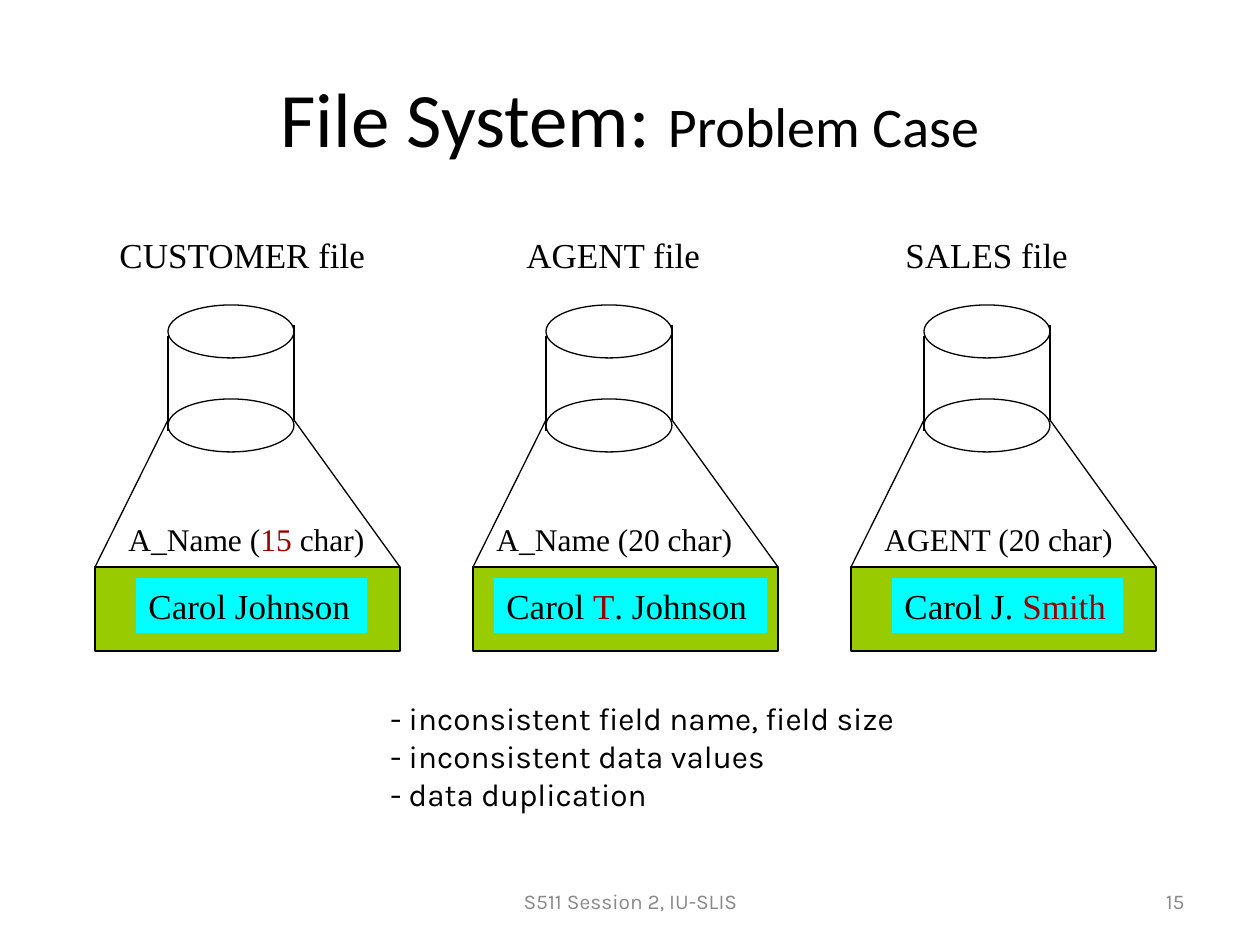
from pptx import Presentation
from pptx.dml.color import RGBColor
from pptx.enum.shapes import MSO_CONNECTOR, MSO_SHAPE
from pptx.enum.text import MSO_ANCHOR, PP_ALIGN
from pptx.oxml.ns import qn
from pptx.util import Pt
from lxml import etree

SCALE = 914400 / 126
BLACK, RED, GRAY = "000000", "990000", "898989"
GREEN, CYAN = "99CC00", "00FFFF"
SERIF, SANS, HEAD = "Times New Roman", "Karla", "Calibri"


def emu(px):
    return round(px * SCALE)


def color(code):
    return RGBColor.from_string(code)


def write(frame, text, font=SERIF, size=20, ink=BLACK, align=PP_ALIGN.LEFT,
          anchor=MSO_ANCHOR.TOP, wrap=True):
    """Text is a string or a list of (text, changes) runs; newlines break lines."""
    frame.word_wrap = wrap
    frame.vertical_anchor = anchor
    para = frame.paragraphs[0]
    para.alignment = align
    for part, change in [(text, {})] if isinstance(text, str) else text:
        for i, line in enumerate(part.split("\n")):
            if i:
                para.add_line_break()
            run = para.add_run()
            run.text = line
            run.font.name = font
            run.font.size = Pt(change.get("size", size))
            run.font.color.rgb = color(change.get("ink", ink))


class Deck:
    line_width = Pt(0.75)

    def __init__(self, width, height):
        self.prs = Presentation()
        self.prs.slide_width, self.prs.slide_height = emu(width), emu(height)
        self.slide = self.prs.slides.add_slide(self.prs.slide_layouts[6])
        self.shapes = self.slide.shapes

    def text(self, x, y, w, h, text, **style):
        box = self.shapes.add_textbox(*map(emu, (x, y, w, h)))
        write(box.text_frame, text, **style)

    def shape(self, kind, x, y, w, h, fill=None, line=BLACK, host=None):
        item = (host or self.shapes).add_shape(kind, *map(emu, (x, y, w, h)))
        item.shadow.inherit = False
        if fill:
            item.fill.solid()
            item.fill.fore_color.rgb = color(fill)
        else:
            item.fill.background()
        if line:
            item.line.color.rgb = color(line)
            item.line.width = self.line_width
        else:
            item.line.fill.background()
        return item

    def line(self, x1, y1, x2, y2, host=None):
        item = (host or self.shapes).add_connector(
            MSO_CONNECTOR.STRAIGHT, *map(emu, (x1, y1, x2, y2)))
        item.line.color.rgb = color(BLACK)
        item.line.width = self.line_width
        etree.SubElement(item._element.spPr, qn("a:effectLst"))

    def drum(self, x):
        host = self.shapes.add_group_shape().shapes
        self.shape(MSO_SHAPE.OVAL, x, 305, 126, 53, host=host)
        self.line(x, 336, x, 431, host)
        self.line(x + 126, 325, x + 126, 420, host)
        self.shape(MSO_SHAPE.OVAL, x, 399, 126, 53, host=host)

    def record(self, x, field, value):
        """Draw a file drum that opens out to one of its records."""
        self.drum(x + 73)
        self.line(x + 73, 420, x, 567)
        self.line(x + 305, 567, x + 199, 420)
        self.shape(MSO_SHAPE.RECTANGLE, x, 567, 305, 84, fill=GREEN)
        left, width, label = field
        self.text(left, 514, width, 50, label, size=18, wrap=False)
        left, width, label = value
        box = self.shape(MSO_SHAPE.RECTANGLE, left, 578, width, 55,
                         fill=CYAN, line=None)
        write(box.text_frame, label)


def main():
    deck = Deck(1260, 945)
    mid = MSO_ANCHOR.MIDDLE
    red = {"ink": RED}

    # Title and footer
    deck.text(63, 38, 1134, 157,
              [("File System: ", {}), ("Problem Case", {"size": 32})],
              font=HEAD, size=44, align=PP_ALIGN.CENTER, anchor=mid)
    deck.text(431, 876, 399, 50, "S511 Session 2, IU-SLIS", font=SANS,
              size=12, ink=GRAY, align=PP_ALIGN.CENTER, anchor=mid)
    deck.text(903, 876, 294, 50, "15", font=SANS,
              size=12, ink=GRAY, align=PP_ALIGN.RIGHT, anchor=mid)

    # File names
    for x, w, name in [(107, 271, "CUSTOMER file"), (514, 199, "AGENT file"),
                       (893, 188, "SALES file")]:
        deck.text(x, 227, w, 55, name, wrap=False)

    # Files, each with its field and value
    files = [
        ((116, 261, [("A_Name (", {}), ("15", red), (" char)", {})]),
         (136, 231, "Carol Johnson")),
        ((484, 261, "A_Name (20 char)"),
         (494, 273, [("Carol ", {}), ("T", red), (". Johnson", {})])),
        ((872, 255, "AGENT (20 char)"),
         (892, 231, [("Carol J. ", {}), ("Smith", red)])),
    ]
    for i, (field, value) in enumerate(files):
        deck.record(95 + 378 * i, field, value)

    # Problems
    deck.text(378, 693, 557, 126,
              "- inconsistent field name, field size\n"
              "- inconsistent data values\n"
              "- data duplication", font=SANS, size=18)

    deck.prs.save("out.pptx")


if __name__ == "__main__":
    main()
